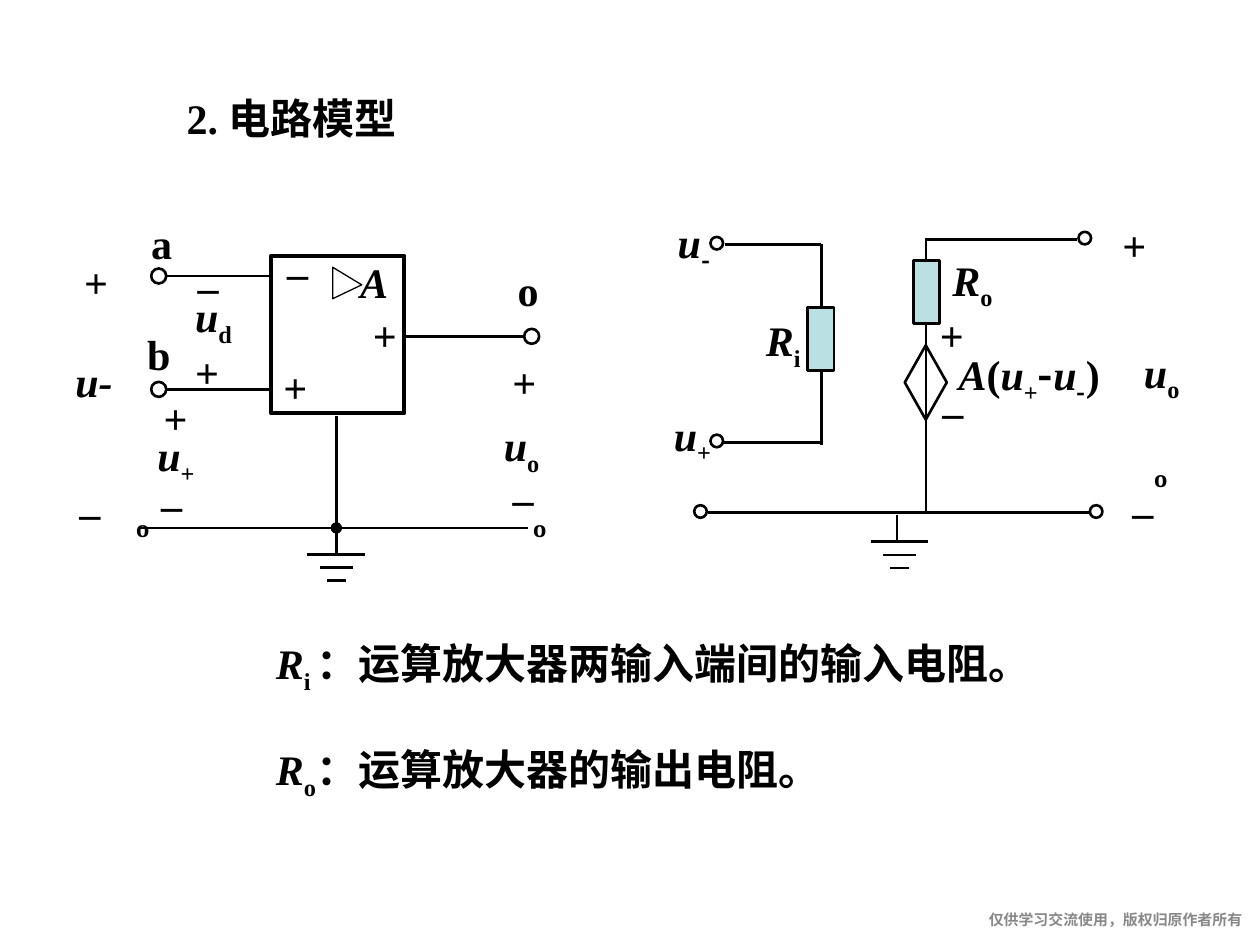
from dataclasses import dataclass

import pptx
import pptx.dml.color
import pptx.enum.shapes
import pptx.enum.text
import pptx.oxml.ns
import pptx.util
from lxml import etree

Pt = pptx.util.Pt
Shape = pptx.enum.shapes.MSO_SHAPE
Anchor = pptx.enum.text.MSO_ANCHOR
Align = pptx.enum.text.PP_ALIGN
qn = pptx.oxml.ns.qn


@dataclass(frozen=True)
class Theme:
    ink: str = "000000"
    paper: str = "FFFFFF"
    resistor: str = "BBE0E3"
    notice: str = "888888"
    latin: str = "Times New Roman"
    cjk: str = "Noto Sans CJK SC"
    notice_font: str = "Arial"
    text_size: float = 24
    notice_size: float = 8.5
    wire: float = 1.5
    thin: float = 0.75
    frame: float = 2.25


THEME = Theme()

# Symbol: width, then runs with flags i (italic), s (subscript), k (CJK font)
SYMBOLS = {
    "+": (28, [("+", "")]),
    "_": (26.5, [("_", "")]),
    "a": (26.5, [("a", "")]),
    "b": (28, [("b", "")]),
    "o": (26.5, [("o", "")]),
    "A": (30, [("A", "i")]),
    "Ri": (35.5, [("R", "i"), ("i", "s")]),
    "Ro": (38, [("R", "i"), ("o", "s")]),
    "ud": (36.5, [("u", "i"), ("d", "s")]),
    "uo": (36, [("u", "i"), ("o", "s")]),
    "u+": (36.5, [("u", "i"), ("+", "s")]),
    "u-": (36, [("u", "i"), ("-", "sk")]),
    "input": (36, [("u-", "i")]),
    "source": (102, [("A", "i"), ("(", ""), ("u", "i"), ("+", "s"), ("-", "k"),
                     ("u", "i"), ("-", "sk"), (")", "")]),
}


def rgb(value):
    return pptx.dml.color.RGBColor.from_string(value)


def add_runs(paragraph, runs, size=THEME.text_size, color=THEME.ink, latin=THEME.latin):
    for text, flags in runs:
        run = paragraph.add_run()
        run.text = text
        font = run.font
        font.size = Pt(size)
        font.bold = True
        font.italic = "i" in flags
        font.color.rgb = rgb(color)
        font.name = THEME.cjk if "k" in flags else latin
        properties = run._r.get_or_add_rPr()
        etree.SubElement(properties, qn("a:ea")).set("typeface", THEME.cjk)
        if "s" in flags:
            properties.set("baseline", "-25000")


def add_label(shapes, runs, left, top, width, height=36, align=Align.LEFT,
              anchor=Anchor.TOP, inset=None, **style):
    frame = shapes.add_textbox(Pt(left), Pt(top), Pt(width), Pt(height)).text_frame
    frame.word_wrap = False
    frame.vertical_anchor = anchor
    if inset is not None:
        frame.margin_left = frame.margin_right = Pt(inset)
        frame.margin_top = frame.margin_bottom = Pt(inset)
    frame.paragraphs[0].alignment = align
    add_runs(frame.paragraphs[0], runs, **style)


def add_symbols(shapes, placements):
    for name, left, top in placements:
        width, runs = SYMBOLS[name]
        add_label(shapes, runs, left, top, width)


def add_terminal_mark(shapes, left, top):
    """Small raised o that marks the end of a ground wire."""
    add_label(shapes, [("º", "")], left, top, 14.4, align=Align.CENTER, anchor=Anchor.MIDDLE)


def add_wires(shapes, wires):
    for x1, y1, x2, y2 in wires:
        wire = shapes.add_connector(pptx.enum.shapes.MSO_CONNECTOR.STRAIGHT,
                                    Pt(x1), Pt(y1), Pt(x2), Pt(y2))
        wire.line.color.rgb = rgb(THEME.ink)
        wire.line.width = Pt(THEME.wire)
        etree.SubElement(wire._element.spPr, qn("a:effectLst"))


def add_ground(shapes, center, top):
    """Three shrinking bars below one another."""
    for step, width in enumerate((33, 18.5, 10.5)):
        y = top + 7.5 * step
        add_wires(shapes, [(center - width / 2, y, center + width / 2, y)])


def add_part(shapes, kind, left, top, width, height, fill=None, weight=THEME.wire):
    part = shapes.add_shape(kind, Pt(left), Pt(top), Pt(width), Pt(height))
    part.shadow.inherit = False
    if fill:
        part.fill.solid()
        part.fill.fore_color.rgb = rgb(fill)
    else:
        part.fill.background()
    part.line.color.rgb = rgb(THEME.ink)
    part.line.width = Pt(weight)
    return part


def fill_placeholder(placeholder, box, lines, gap=0):
    placeholder.left, placeholder.top, placeholder.width, placeholder.height = map(Pt, box)
    frame = placeholder.text_frame
    frame.auto_size = pptx.enum.text.MSO_AUTO_SIZE.NONE
    frame.vertical_anchor = Anchor.TOP
    for number, runs in enumerate(lines):
        paragraph = frame.add_paragraph() if number else frame.paragraphs[0]
        paragraph.alignment = Align.LEFT
        paragraph.space_before = Pt(gap if number else 0)
        properties = paragraph._p.get_or_add_pPr()
        properties.set("marL", "0")
        properties.set("indent", "0")
        etree.SubElement(properties, qn("a:buNone"))
        add_runs(paragraph, runs)


def draw_equivalent_circuit(shapes):
    add_wires(shapes, [
        (529.2, 136.8, 529.2, 251.3), (529.2, 246.2, 529.2, 293),
        (528.5, 136.8, 615.6, 136.8),
        (469.4, 139.7, 469.4, 254.2),
        (469.4, 139.7, 414, 139.7), (469.4, 252.7, 412.6, 252.7),
        (404.6, 293, 623.5, 293), (512.6, 294.5, 512.6, 309.6),
    ])
    add_ground(shapes, 514, 309.6)
    for left, top in ((522, 149), (461.5, 175.7)):
        add_part(shapes, Shape.RECTANGLE, left, top, 15, 36, THEME.resistor)
    add_part(shapes, Shape.DIAMOND, 517, 197.3, 24, 42.5)
    for left, top in ((406, 135.4), (406, 248.4), (616.3, 132.5), (396.7, 288.7), (622.8, 288.7)):
        add_part(shapes, Shape.OVAL, left, top, 7.2, 7.2)
    add_symbols(shapes, [
        ("+", 530, 173.5), ("_", 531.4, 208.8), ("source", 540.7, 195.8),
        ("Ro", 537.1, 141.8), ("Ri", 430.6, 176.4), ("u+", 378, 230.4), ("u-", 380.2, 120.2),
        ("+", 634.3, 121.7), ("_", 640, 265.7), ("uo", 646.6, 194.4),
    ])
    add_terminal_mark(shapes, 652.3, 260)


def draw_amplifier(shapes):
    add_wires(shapes, [
        (80, 301.7, 301.7, 301.7), (192.2, 237.6, 192.2, 316.8),
        (154.8, 157.7, 93.6, 157.7), (154.8, 222.5, 93.6, 222.5),
        (231.1, 192.2, 301.7, 192.2),
    ])
    add_ground(shapes, 192.2, 316.8)
    add_part(shapes, Shape.OVAL, 189.3, 298.8, 5.8, 5.8, THEME.ink, THEME.thin)
    add_part(shapes, Shape.RECTANGLE, 154.8, 146.2, 76.3, 90, THEME.paper, THEME.frame)
    gain = add_part(shapes, Shape.ISOSCELES_TRIANGLE, 189.4, 153.4, 18, 16.6,
                    THEME.paper, THEME.thin)
    gain.adjustments[0] = 0.56
    gain.rotation = 90
    for left, top in ((299.5, 187.9), (86.4, 153.4), (86.4, 218.2)):
        add_part(shapes, Shape.OVAL, left, top, 8.6, 8.6, THEME.paper)
    add_symbols(shapes, [
        ("+", 41, 143.3), ("input", 36, 199.4), ("_", 38.2, 266.4),
        ("+", 86.4, 221), ("u+", 82.8, 241.9), ("_", 85, 262),
        ("a", 79.2, 121), ("b", 77, 184.3),
        ("_", 105.8, 137.5), ("ud", 104.4, 162.7), ("+", 104.4, 194.4),
        ("_", 157, 129.6), ("+", 154.8, 203), ("A", 198.7, 143.3), ("+", 206, 173.5),
        ("o", 288.7, 147.6), ("+", 285.8, 200.2), ("uo", 280.8, 236.2), ("_", 285.8, 258.5),
    ])
    for left in (70.6, 297.4):
        add_terminal_mark(shapes, left, 288.7)


def main():
    deck = pptx.Presentation()
    deck.slide_width, deck.slide_height = Pt(720), Pt(540)
    slide = deck.slides.add_slide(deck.slide_layouts[1])
    heading, definitions = slide.placeholders
    fill_placeholder(heading, (99.4, 49, 180, 36), [[("2. 电路模型", "")]])
    fill_placeholder(definitions, (150.5, 360.7, 450, 104), [
        [("R", "i"), ("i ", "s"), ("：运算放大器两输入端间的输入电阻。", "")],
        [("R", "i"), ("o", "s"), ("：运算放大器的输出电阻。", "")],
    ], gap=28)
    draw_equivalent_circuit(slide.shapes.add_group_shape().shapes)
    draw_amplifier(slide.shapes.add_group_shape().shapes)
    add_label(slide.shapes, [("仅供学习交流使用，版权归原作者所有", "")], 436.3, 520.6, 273.6, 15.8,
              align=Align.RIGHT, inset=0, size=THEME.notice_size,
              color=THEME.notice, latin=THEME.notice_font)
    deck.save("out.pptx")


if __name__ == "__main__":
    main()
